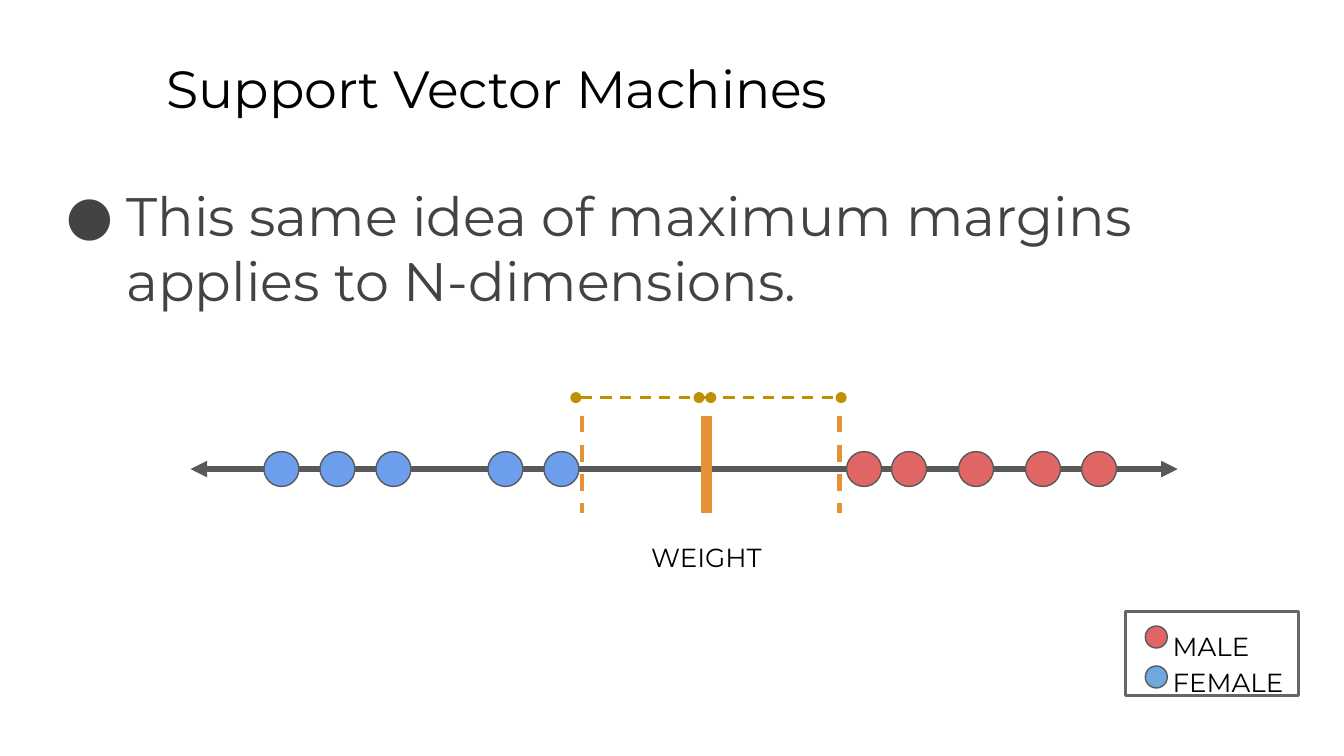
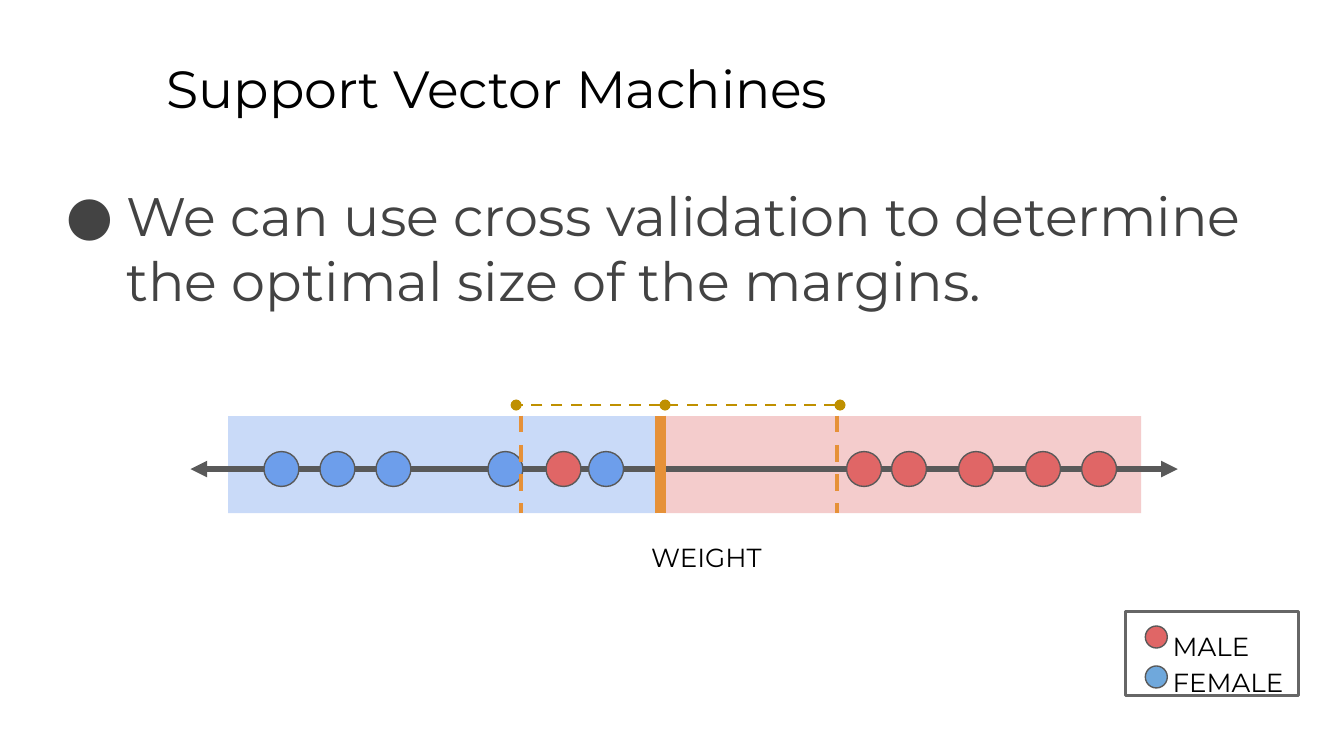
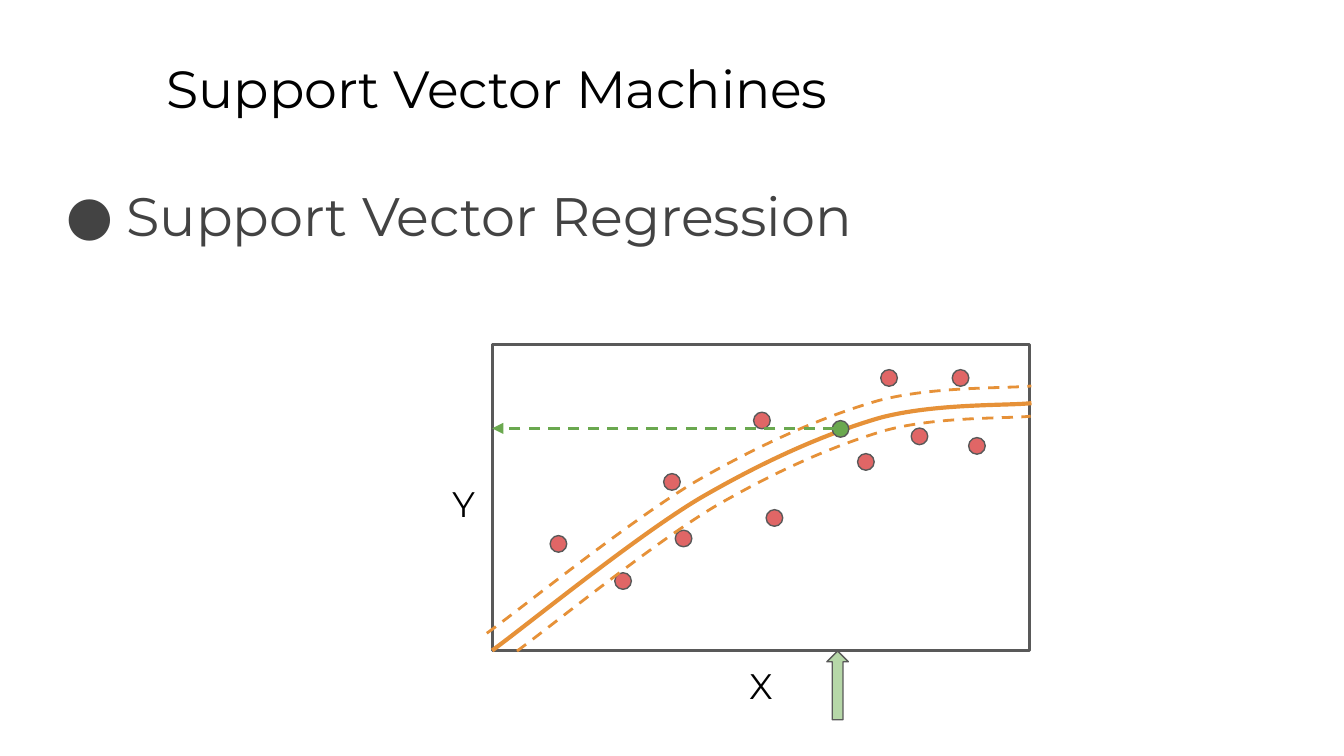
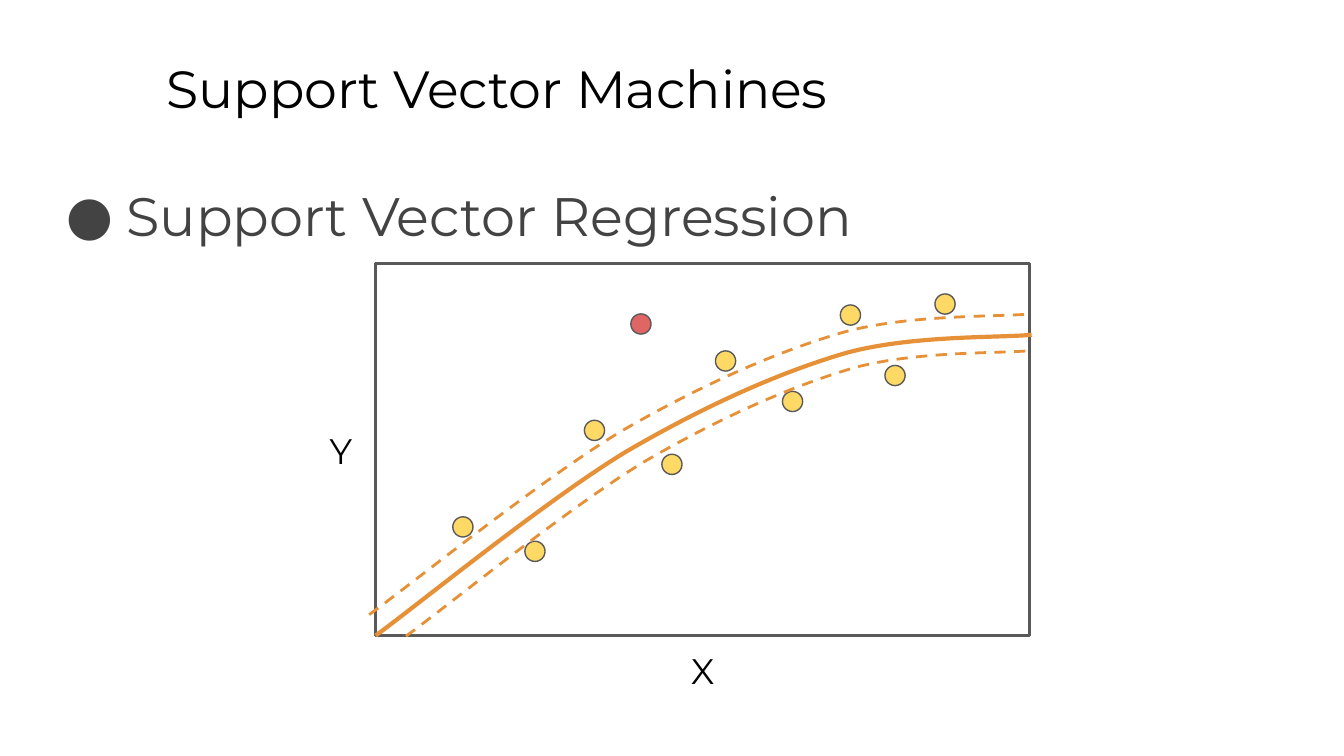
from dataclasses import dataclass

from lxml import etree
from pptx import Presentation
from pptx.dml.color import RGBColor
from pptx.enum import dml, shapes, text
from pptx.oxml.ns import qn
from pptx.util import Pt


@dataclass(frozen=True)
class Theme:
    font: str = "Montserrat"
    ink: str = "000000"
    body: str = "434343"
    outline: str = "595959"
    legend_frame: str = "666666"
    male: str = "E06666"
    female: str = "6D9EEB"
    female_key: str = "6FA8DC"
    male_region: str = "F4CCCC"
    female_region: str = "C9DAF8"
    margin: str = "E69138"
    span: str = "BF9000"
    outside: str = "FFD966"
    prediction: str = "6AA84F"
    input_arrow: str = "B6D7A8"
    title_size: float = 28
    body_size: float = 29
    axis_size: float = 19
    label_size: float = 14


THEME = Theme()
AXIS_Y = 251.3
MARGIN_TOP, MARGIN_BOTTOM = 222.7, 275
FEMALE_WEIGHTS = [150.8 + 30 * step for step in (0, 1, 2, 4)]
MALE_WEIGHTS = [462.9, 487, 522.9, 558.8, 588.8]
FIT_CURVE = [(0, 1), (0.065, 0.897), (0.264, 0.543), (0.384, 0.386),
             (0.504, 0.234), (0.616, 0.125), (0.718, 0.06),
             (0.82, 0), (0.955, 0.011), (1, 0)]
FIT_BOX = (0, 31.5, 288.9, 132.5)
UPPER_BOX = (-2.9, 22.3, 291.7, 132.5)
LOWER_BOX = (13.3, 38.5, 275.2, 125.8)


def apply_formats(target, formats):
    for name, value in formats.items():
        setattr(target, name, value)


def pts(*values):
    return [Pt(value) for value in values]


def write(frame, lines, size, color, align=None, left=0, hanging=0, bullet=None, spacing=None):
    apply_formats(frame, {"word_wrap": True, "auto_size": text.MSO_AUTO_SIZE.NONE,
                          "vertical_anchor": text.MSO_ANCHOR.TOP,
                          "margin_left": Pt(7.2), "margin_right": Pt(7.2),
                          "margin_top": Pt(7.2), "margin_bottom": Pt(7.2)})
    frame.text = "\n".join(lines)
    for paragraph in frame.paragraphs:
        apply_formats(paragraph, {"alignment": align or text.PP_ALIGN.LEFT,
                                  "space_before": Pt(0), "line_spacing": spacing or 1.0})
        properties = paragraph._p.get_or_add_pPr()
        properties.set("marL", str(Pt(left)))
        properties.set("indent", str(Pt(hanging)))
        if bullet:
            tint = etree.SubElement(properties, qn("a:buClr"))
            etree.SubElement(tint, qn("a:srgbClr"), val=color)
            etree.SubElement(properties, qn("a:buFont"), typeface=THEME.font)
            etree.SubElement(properties, qn("a:buChar"), char=bullet)
        for run in paragraph.runs:
            apply_formats(run.font, {"size": Pt(size), "name": THEME.font})
            run.font.color.rgb = RGBColor.from_string(color)


def stroke(line, color, width, dashed=False):
    line.color.rgb = RGBColor.from_string(color)
    line.width = Pt(width)
    if dashed:
        line.dash_style = dml.MSO_LINE.DASH


def add_figure(slide, kind, box, fill=None, outline=THEME.outline, width=0.75):
    figure = slide.shapes.add_shape(kind, *pts(*box))
    figure.shadow.inherit = False
    if fill:
        figure.fill.solid()
        figure.fill.fore_color.rgb = RGBColor.from_string(fill)
    else:
        figure.fill.background()
    if outline:
        stroke(figure.line, outline, width)
    else:
        figure.line.fill.background()
    return figure


def add_dot(slide, x, y, diameter, fill):
    corner = (x - diameter / 2, y - diameter / 2)
    return add_figure(slide, shapes.MSO_SHAPE.OVAL, (*corner, diameter, diameter), fill)


def add_line(slide, start, end, color, width, dashed=False, head=None, tail=None):
    link = slide.shapes.add_connector(shapes.MSO_CONNECTOR.STRAIGHT, *pts(*start, *end))
    stroke(link.line, color, width, dashed)
    outline = link.line._get_or_add_ln()
    for tag, mark in (("a:headEnd", head), ("a:tailEnd", tail)):
        if mark:
            etree.SubElement(outline, qn(tag), type=mark)
    etree.SubElement(link._element.spPr, qn("a:effectLst"))


def add_label(slide, words, box, size):
    label = slide.shapes.add_textbox(*pts(*box))
    write(label.text_frame, [words], size, THEME.ink, text.PP_ALIGN.CENTER)


def add_curve(slide, box, width, dashed=False):
    left, top, across, down = box
    points = [(Pt(left + across * x), Pt(top + down * y)) for x, y in FIT_CURVE]
    builder = slide.shapes.build_freeform(*points[0])
    builder.add_line_segments(points[1:], close=False)
    curve = builder.convert_to_shape()
    curve.shadow.inherit = False
    curve.fill.background()
    stroke(curve.line, THEME.margin, width, dashed)
    segments = list(curve._element.iter(qn("a:lnTo")))
    for first in range(0, len(segments), 3):
        bezier = etree.SubElement(segments[first].getparent(), qn("a:cubicBezTo"))
        for segment in segments[first:first + 3]:
            bezier.append(segment[0])
            segment.getparent().remove(segment)


def add_topic(deck, statement, body_height):
    slide = deck.slides.add_slide(deck.slide_layouts[1])
    title, body = slide.placeholders
    for holder, box in ((title, (82, 23, 613.5, 45.4)), (body, (24.5, 90.7, 684, body_height))):
        apply_formats(holder, dict(zip(("left", "top", "width", "height"), pts(*box))))
    write(title.text_frame, ["Support Vector Machines"], THEME.title_size, THEME.ink)
    write(body.text_frame, [statement], THEME.body_size, THEME.body,
          left=36, hanging=-32.4, bullet="●")
    return slide


def add_legend(slide):
    frame = add_figure(slide, shapes.MSO_SHAPE.RECTANGLE, (602.8, 327.8, 93, 45),
                       outline=THEME.legend_frame, width=1.5)
    write(frame.text_frame, ["MALE", "FEMALE"], THEME.label_size, THEME.ink,
          left=18.3, spacing=1.15)
    for y, fill in ((341.3, THEME.male), (362.7, THEME.female_key)):
        add_dot(slide, 619.5, y, 11.8, fill)


def add_weight_axis(slide, females, males):
    add_line(slide, (102, AXIS_Y), (631, AXIS_Y), THEME.outline, 3,
             head="triangle", tail="triangle")
    add_label(slide, "WEIGHT", (326, 283, 105, 18), THEME.label_size)
    for weights, fill in ((females, THEME.female), (males, THEME.male)):
        for weight in weights:
            add_dot(slide, weight, AXIS_Y, 18.7, fill)
    add_legend(slide)


def add_margins(slide, lower, threshold, upper):
    for x, width, dashed in ((threshold, 6, False), (lower, 2.25, True), (upper, 2.25, True)):
        add_line(slide, (x, MARGIN_TOP), (x, MARGIN_BOTTOM), THEME.margin, width, dashed)


def add_span(slide, start, end, y, tail="oval"):
    add_line(slide, (start, y), (end, y), THEME.span, 1.5, True, "oval", tail)


def add_regression_plot(slide, box, observations):
    left, top, width, height = box
    scale = width / 288
    label_width, label_height = 76.3 * scale, 13 * scale
    add_figure(slide, shapes.MSO_SHAPE.RECTANGLE, box, width=1.5)
    add_label(slide, "X", (left + (width - label_width) / 2, top + height + 0.5,
                           label_width, label_height), THEME.axis_size)
    add_label(slide, "Y", (left - 53.5 * scale, top + 67.3 * scale,
                           label_width, label_height), THEME.axis_size)
    for fill, centers in observations.items():
        for x, y in centers:
            add_dot(slide, x, y, 8.9 * scale, fill)
    for curve, weight, dashed in ((FIT_BOX, 2.25, False), (LOWER_BOX, 1.5, True),
                                  (UPPER_BOX, 1.5, True)):
        x, y, across, down = (value * scale for value in curve)
        add_curve(slide, (left + x, top + y, across, down), weight, dashed)


def add_prediction(slide):
    add_figure(slide, shapes.MSO_SHAPE.UP_ARROW, (443, 348.8, 11.5, 36.8), THEME.input_arrow)
    add_dot(slide, 450.3, 229.8, 8.9, THEME.prediction)
    add_line(slide, (447, 229.5), (263.7, 229.5), THEME.prediction, 1.5, True, tail="triangle")


def main():
    deck = Presentation()
    deck.slide_width, deck.slide_height = pts(720, 405)

    separable = add_topic(
        deck, "This same idea of maximum margins applies to N-dimensions.", 84)
    add_weight_axis(separable, FEMALE_WEIGHTS + [300.8], MALE_WEIGHTS)
    add_margins(separable, 311.8, 378.5, 449.7)
    add_span(separable, 308.5, 380.8, 213)
    add_span(separable, 374.5, 450.6, 213)

    overlapping = add_topic(
        deck, "We can use cross validation to determine the optimal size of the margins.", 109.4)
    for region, fill in (((355.7, 223, 255.6, 52), THEME.male_region),
                         ((122.2, 223, 229.7, 52), THEME.female_region)):
        add_figure(overlapping, shapes.MSO_SHAPE.RECTANGLE, region, fill, outline=None)
    add_weight_axis(overlapping, FEMALE_WEIGHTS + [324.7], MALE_WEIGHTS + [301.9])
    add_margins(overlapping, 279.1, 353.8, 448.4)
    add_span(overlapping, 450, 353.8, 217, tail=None)
    add_span(overlapping, 356.3, 276.5, 217)

    predicting = add_topic(deck, "Support Vector Regression", 269.3)
    add_regression_plot(predicting, (263.7, 184.5, 288, 164), {
        THEME.male: [(299.2, 291.4), (333.8, 311.3), (360, 258.2), (414.9, 277.5),
                     (366.2, 288.5), (408.2, 225.3), (463.9, 247.5), (476.3, 202.5),
                     (523.4, 238.9), (492.6, 233.8), (514.6, 202.5)]})
    add_prediction(predicting)

    outlier = add_topic(deck, "Support Vector Regression", 269.3)
    add_regression_plot(outlier, (201.3, 141, 350.3, 199.3), {
        THEME.outside: [(248, 282.3), (286.6, 295.4), (318.5, 230.6), (360, 248.8),
                        (388.7, 193.4), (424.6, 215.1), (455.6, 168.8), (479.5, 201.2),
                        (506.3, 162.9)],
        THEME.male: [(343.4, 173.6)]})

    deck.save("out.pptx")


if __name__ == "__main__":
    main()
